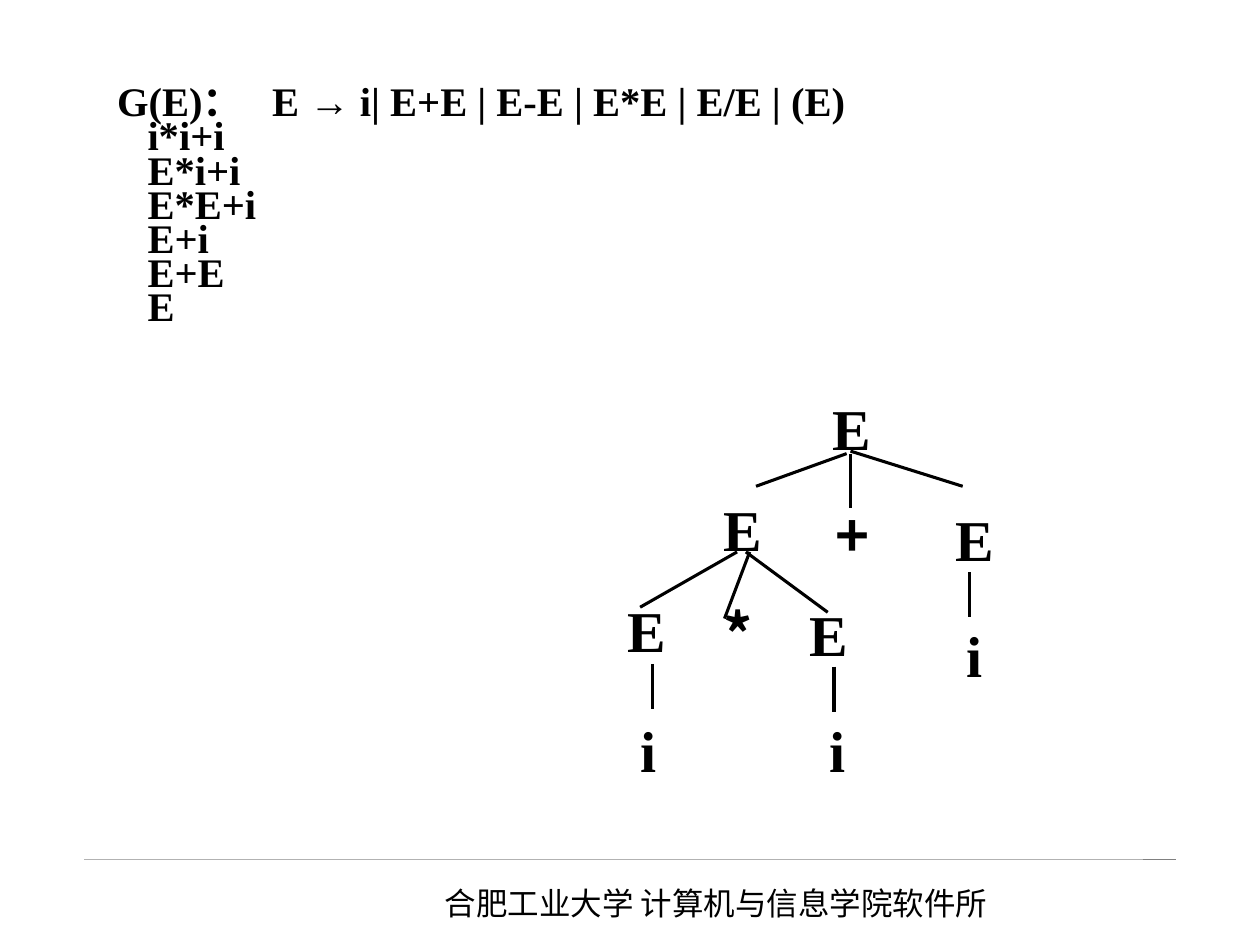
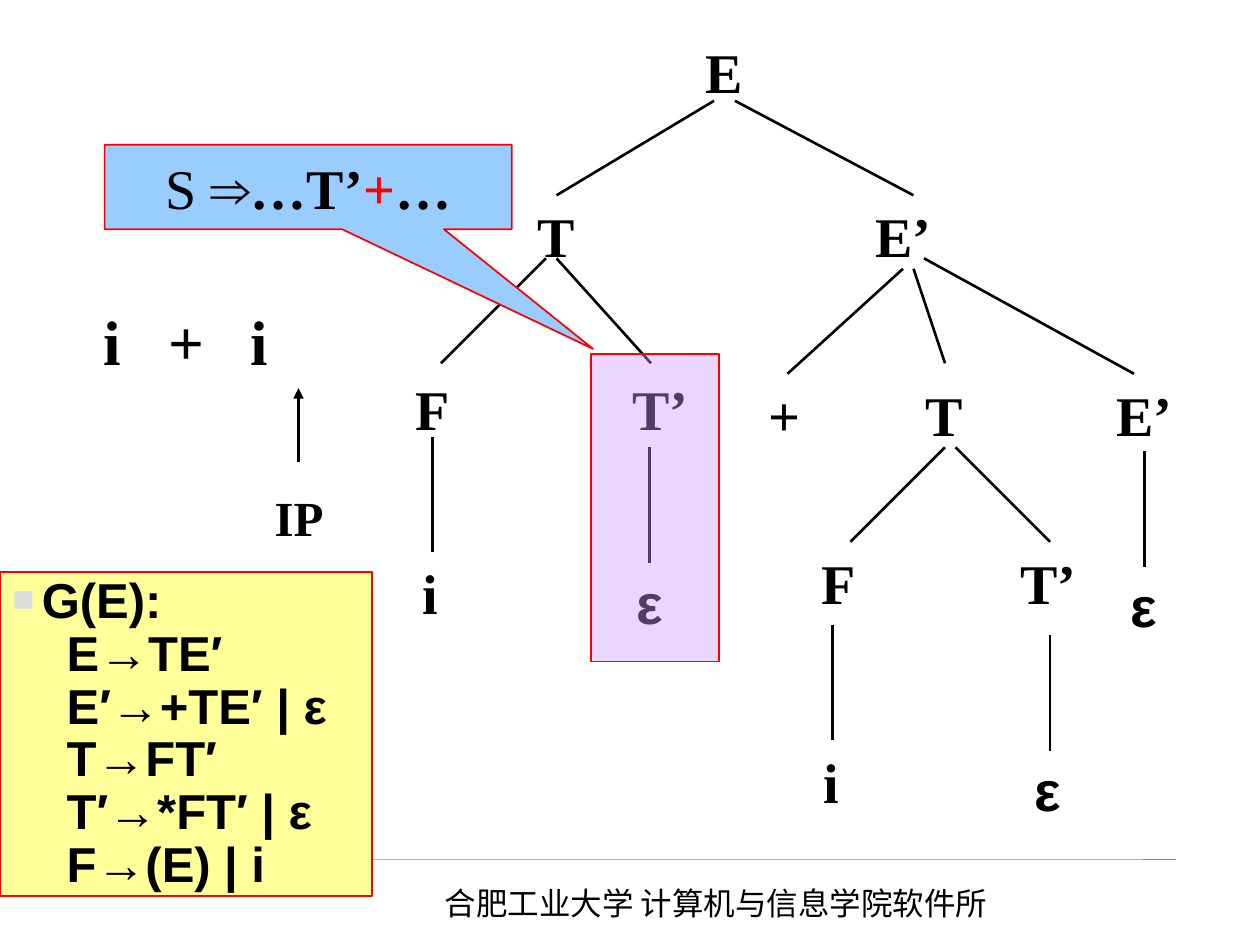
from dataclasses import dataclass

from lxml import etree
from pptx import Presentation
from pptx.dml.color import RGBColor
from pptx.enum import shapes, text
from pptx.oxml import ns
from pptx.util import Pt


@dataclass(frozen=True)
class Theme:
    ink: str = "000000"
    alert: str = "FF0000"
    rule: str = "B2B2B2"
    rule_end: str = "808080"
    bullet: str = "DDDDDD"
    grammar_fill: str = "FFFF99"
    focus_fill: str = "CC99FF"
    callout_fill: str = "99CCFF"
    serif: str = "Times New Roman"
    sans: str = "Arial"
    chinese: str = "Noto Sans CJK SC"
    footer_size: float = 18
    derivation_size: float = 23.2
    grammar_size: float = 28
    node_size: float = 32
    syntax_node_size: float = 33
    input_size: float = 36


THEME = Theme()
LEFT, CENTER = text.PP_ALIGN.LEFT, text.PP_ALIGN.CENTER

SYNTAX_NODES = [
    ("E", 487, 224.6), ("E", 424.4, 282.2), ("E", 557, 288),
    ("E", 369.7, 339.8), ("E", 473.4, 342),
    ("i", 370.4, 408.2), ("i", 478.4, 408.2), ("i", 557, 354.2),
]
SYNTAX_OPERATORS = [("+", 487, 285.8), ("*", 421.7, 342)]
SYNTAX_EDGES = [
    (483.8, 259.2, 432, 277.9), (486, 257.8, 550.1, 277.9), (486, 259.2, 486, 290.2),
    (421.2, 315.4, 365.8, 347), (428.4, 315.4, 414, 353.5), (426.2, 315.4, 473, 349.9),
    (373, 379.4, 373, 405.4), (476.6, 380.9, 476.6, 406.8), (554, 326.9, 554, 352.8),
]

PARSE_NODES = [
    ("E", 413.6, 18), ("T", 317.9, 111.6), ("E’", 516.2, 111.6),
    ("F", 247.3, 210.2), ("T’", 377.3, 210.2),
    ("+", 448.2, 213.8), ("T", 539.6, 213.8), ("E’", 653.8, 213.8),
    ("F", 479.2, 309.6), ("T’", 599, 309.6),
    ("i", 246.2, 315.4), ("i", 475.2, 423.4),
]
PARSE_EMPTY_NODES = [("ε", 371.2, 321.1), ("ε", 653.4, 323.3), ("ε", 599, 428.4)]
PARSE_EDGES = [
    (408, 57.6, 318, 111.6), (420, 57.6, 522, 111.6),
    (312, 147.6, 252, 207.6), (318, 147.6, 372, 207.6),
    (516, 153.6, 450, 213.6), (522, 153.6, 540, 207.6), (528, 147.6, 648, 213.6),
    (540, 255.6, 486, 309.6), (546, 255.6, 600, 309.6),
    (247, 249.6, 247, 315.6), (371.2, 255.6, 371.2, 321.6), (654, 258, 654, 324),
    (475.8, 357, 475.8, 423), (600, 363, 600, 429),
]


def rgb(color):
    return RGBColor.from_string(color)


def add_xml(parent, tag, **attributes):
    element = etree.SubElement(parent, ns.qn(tag))
    for key, value in attributes.items():
        element.set(key, str(value))
    return element


def format_run(run, size, font=THEME.serif, color=THEME.ink, bold=True):
    run.font.size = Pt(size)
    run.font.bold = bold
    run.font.name = font
    run.font.color.rgb = rgb(color)
    add_xml(run.font._element, "a:ea", typeface=THEME.chinese)


def write(frame, lines, align=LEFT, insets=(7.2, 3.6), wrap=True, pitch=None,
          anchor=text.MSO_ANCHOR.TOP, **style):
    frame.word_wrap = wrap
    frame.vertical_anchor = anchor
    frame.margin_left = frame.margin_right = Pt(insets[0])
    frame.margin_top = frame.margin_bottom = Pt(insets[1])
    for index, line in enumerate(lines):
        paragraph = frame.paragraphs[0] if index == 0 else frame.add_paragraph()
        paragraph.alignment = align
        if pitch:
            paragraph.line_spacing = Pt(pitch)
        for words, changes in [(line, {})] if isinstance(line, str) else line:
            run = paragraph.add_run()
            run.text = words
            format_run(run, **{**style, **changes})
    return frame.paragraphs


def indent(paragraph, margin, first=0):
    properties = paragraph._p.get_or_add_pPr()
    properties.set("marL", str(Pt(margin)))
    properties.set("indent", str(Pt(first)))
    return properties


def set_tabs(paragraph, *stops):
    tabs = add_xml(paragraph._p.get_or_add_pPr(), "a:tabLst")
    for stop in stops:
        add_xml(tabs, "a:tab", pos=Pt(stop), algn="l")


def set_bullet(paragraph, margin):
    properties = indent(paragraph, margin, -margin)
    add_xml(add_xml(properties, "a:buClr"), "a:srgbClr", val=THEME.bullet)
    add_xml(properties, "a:buSzPct", val=75000)
    add_xml(properties, "a:buFont", typeface=THEME.sans)
    add_xml(properties, "a:buChar", char="■")


def text_box(slide, box, lines, **style):
    frame = slide.shapes.add_textbox(*map(Pt, box)).text_frame
    return write(frame, lines, **style)


def node(slide, label, center, top, **style):
    width = 24 + 12 * len(label)
    text_box(slide, (center - width / 2, top, width, 46), [label],
             align=CENTER, wrap=False, **style)


def line(slide, ends, width=1.5, color=THEME.ink, arrow=False):
    connector = slide.shapes.add_connector(shapes.MSO_CONNECTOR.STRAIGHT, *map(Pt, ends))
    connector.line.color.rgb = rgb(color)
    connector.line.width = Pt(width)
    if arrow:
        add_xml(connector.line._get_or_add_ln(), "a:tailEnd", type="triangle")
    add_xml(connector._element.spPr, "a:effectLst")


def panel(slide, box, fill, kind=shapes.MSO_SHAPE.RECTANGLE, opacity=None):
    shape = slide.shapes.add_shape(kind, *map(Pt, box))
    shape.shadow.inherit = False
    shape.fill.solid()
    shape.fill.fore_color.rgb = rgb(fill)
    shape.line.color.rgb = rgb(THEME.alert)
    shape.line.width = Pt(1)
    if opacity:
        color = shape._element.spPr.find(ns.qn("a:solidFill"))[0]
        add_xml(color, "a:alpha", val=opacity * 1000)
    return shape


def new_slide(deck):
    slide = deck.slides.add_slide(deck.slide_layouts[6])
    line(slide, (48.2, 491, 671.8, 491), 0.25, THEME.rule)
    line(slide, (653, 491, 671.8, 491), 0.25, THEME.rule_end)
    text_box(slide, (247, 501.8, 345.6, 28.8), ["合肥工业大学 计算机与信息学院软件所"],
             size=THEME.footer_size, font=THEME.chinese, bold=False)
    return slide


def syntax_tree_slide(deck):
    slide = new_slide(deck)
    grammar = [("G(E)：\tE ", {}), ("→", {"font": THEME.sans}),
               (" i| E+E | E-E | E*E | E/E | (E)", {})]
    reductions = ["i*i+i", "E*i+i", "E*E+i", "E+i", "E+E", "E"]
    heading, *steps = text_box(slide, (59.8, 48.2, 606.2, 149.8), [grammar, *reductions],
                               size=THEME.derivation_size, pitch=19.55)
    set_tabs(heading, 88.6)
    for step in steps:
        indent(step, 17.4)
    for ends in SYNTAX_EDGES:
        line(slide, ends, 1.75)
    for nodes, font in ((SYNTAX_NODES, THEME.serif), (SYNTAX_OPERATORS, THEME.chinese)):
        for place in nodes:
            node(slide, *place, size=THEME.syntax_node_size, font=font, insets=(0, 0))


def parse_tree_slide(deck):
    slide = new_slide(deck)
    token_row = text_box(slide, (36, 169.2, 150.5, 50.4), ["i\t+\ti"],
                         size=THEME.input_size, insets=(23.4, 3.6))
    set_tabs(token_row[0], 36.6, 84)
    line(slide, (170.6, 264.2, 170.6, 221.8), arrow=True)
    node(slide, "IP", 170.9, 275, size=THEME.grammar_size)

    for ends in PARSE_EDGES:
        line(slide, ends)
    for nodes, font in ((PARSE_NODES, THEME.serif), (PARSE_EMPTY_NODES, THEME.sans)):
        for place in nodes:
            node(slide, *place, size=THEME.node_size, font=font)

    grammar = panel(slide, (0, 326.9, 212.4, 185), THEME.grammar_fill)
    rules = ["G(E):", "E→TE′", "E′→+TE′ | ε", "T→FT′", "T′→*FT′ | ε", "F→(E) | i"]
    heading, *productions = write(grammar.text_frame, rules, size=THEME.grammar_size,
                                  font=THEME.sans, pitch=30.1,
                                  anchor=text.MSO_ANCHOR.MIDDLE)
    set_bullet(heading, 16.8)
    for production in productions:
        indent(production, 31)

    panel(slide, (337.7, 202.3, 73.4, 175.7), THEME.focus_fill, opacity=40)
    callout = panel(slide, (59.8, 82.8, 232.6, 48.2), THEME.callout_fill,
                    shapes.MSO_SHAPE.RECTANGULAR_CALLOUT)
    callout.adjustments[0] = 0.7
    callout.adjustments[1] = 1.92
    sentence = [("S ", {"bold": False}), ("⇒", {"font": THEME.sans}), ("…T’", {}),
                ("+", {"color": THEME.alert}), ("…", {})]
    write(callout.text_frame, [sentence], size=THEME.node_size, align=CENTER,
          anchor=text.MSO_ANCHOR.MIDDLE)


def main():
    deck = Presentation()
    deck.slide_width, deck.slide_height = Pt(720), Pt(540)
    syntax_tree_slide(deck)
    parse_tree_slide(deck)
    deck.save("out.pptx")


if __name__ == "__main__":
    main()
